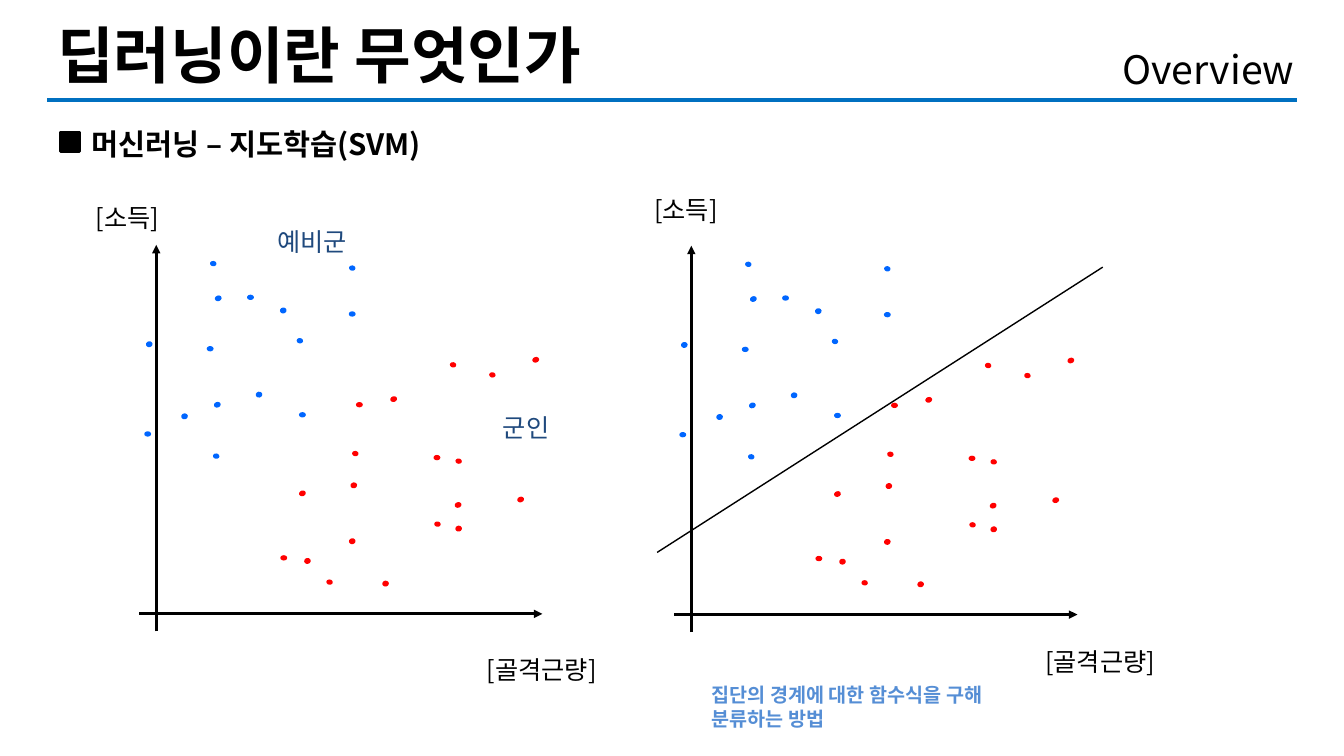
from lxml import etree
from pptx import Presentation
from pptx import util as u
from pptx.dml.color import RGBColor
from pptx.enum import shapes, text
from pptx.oxml.ns import qn

COLORS = {"black": "000000", "white": "FFFFFF", "rule": "0070C0", "navy": "1F497D",
          "note": "558ED5", "reserve": "0066FF", "soldier": "FF0000"}

DOTS_BY_SIZE_AND_TURN = {
    "reserve": {
        (4.9, 3.8, 0): [(105.5, 310), (251.6, 224.3), (178.9, 212.4), (216, 296.3),
                        (150.1, 249.1)],
        (4.9, 4, 341.4): [(155.9, 213.1), (155.2, 289.1)],
        (3.8, 4.6, 98.3): [(214.2, 243.4), (154.4, 325.8), (251.6, 191.5), (152.3, 188.3)],
        (4.2, 4.7, 79.6): [(185, 281.9), (131.8, 297.4), (202.3, 221.8), (106.6, 245.9)],
    },
    "soldier": {
        (4.9, 3.8, 0): [(202.7, 398.5), (256.7, 289.1), (312.1, 326.9)],
        (4.9, 4, 341.4): [(216, 352.4), (382.7, 257), (327.2, 360.7), (281.2, 285.1),
                          (371.9, 356.8)],
        (3.8, 4.6, 98.3): [(235.4, 415.8), (327.6, 329.4), (253.8, 324), (351.7, 267.8),
                           (323.6, 260.6), (312.5, 374.4)],
        (4.2, 4.7, 79.6): [(275.4, 416.9), (251.6, 386.6), (252.7, 346.7), (219.6, 400.7),
                           (327.6, 377.6)],
    },
}


class Deck:
    """Holds the font, the colours and the slide being drawn."""

    font = "Noto Sans CJK KR"

    def __init__(self, prs):
        self.s = prs.slides.add_slide(prs.slide_layouts[6])

    def rgb(self, name):
        return RGBColor.from_string(COLORS[name])

    def fill_text(self, tf, lines, size, color, bold=False, align=None):
        tf.word_wrap = True
        for i, line in enumerate(lines):
            p = tf.paragraphs[0] if i == 0 else tf.add_paragraph()
            r = p.add_run()
            r.text = line
            p.alignment = align
            p.font.size, p.font.bold, p.font.name = u.Pt(size), bold, self.font
            p.font.color.rgb = self.rgb(color)
            ea = etree.SubElement(r._r.get_or_add_rPr(), qn("a:ea"))
            ea.set("typeface", self.font)

    def text(self, x, y, w, h, lines, size, color="black", bold=False):
        tf = self.s.shapes.add_textbox(u.Pt(x), u.Pt(y), u.Pt(w), u.Pt(h)).text_frame
        self.fill_text(tf, lines, size, color, bold)
        tf.auto_size = text.MSO_AUTO_SIZE.SHAPE_TO_FIT_TEXT

    def shape(self, kind, x, y, w, h, fill, line=None, parent=None):
        sp = (parent or self.s).shapes.add_shape(kind, u.Pt(x), u.Pt(y), u.Pt(w), u.Pt(h))
        sp.shadow.inherit = False
        sp.fill.solid()
        sp.fill.fore_color.rgb = self.rgb(fill)
        if line:
            sp.line.color.rgb = self.rgb(fill)
            sp.line.width = u.Pt(line)
        else:
            sp.line.fill.background()
        return sp

    def label(self, x, y, w, caption):
        tf = self.shape(shapes.MSO_SHAPE.RECTANGLE, x, y, w, 46, "white", 2).text_frame
        tf.vertical_anchor = text.MSO_ANCHOR.MIDDLE
        self.fill_text(tf, [caption], 18, "black", align=text.PP_ALIGN.CENTER)

    def line(self, x1, y1, x2, y2, color, width, arrow=False, parent=None):
        c = (parent or self.s).shapes.add_connector(
            shapes.MSO_CONNECTOR.STRAIGHT, u.Pt(x1), u.Pt(y1), u.Pt(x2), u.Pt(y2))
        c.line.color.rgb = self.rgb(color)
        c.line.width = u.Pt(width)
        sp_pr = c._element.spPr
        if arrow:
            etree.SubElement(sp_pr.find(qn("a:ln")), qn("a:tailEnd")).set("type", "triangle")
        etree.SubElement(sp_pr, qn("a:effectLst"))

    def plot(self, dx, dy, boundary=None):
        g = self.s.shapes.add_group_shape()
        if boundary:
            self.line(*boundary, "black", 1, parent=g)
        self.line(111.6 + dx, 451 + dy, 111.6 + dx, 175 + dy, "black", 2, True, g)
        self.line(99.4 + dx, 438.5 + dy, 387.4 + dx, 438.5 + dy, "black", 2, True, g)
        for color, dots in DOTS_BY_SIZE_AND_TURN.items():
            for (w, h, turn), centres in dots.items():
                for x, y in centres:
                    sp = self.shape(shapes.MSO_SHAPE.OVAL, x + dx - w / 2, y + dy - h / 2,
                                    w, h, color, parent=g)
                    sp.rotation = turn


def main():
    prs = Presentation()
    prs.slide_width, prs.slide_height = u.Pt(960), u.Pt(540)
    d = Deck(prs)
    d.line(33.8, 71.3, 926.6, 71.3, "rule", 3)
    d.text(33.8, 8.6, 643.7, 60.5, ["딥러닝이란 무엇인가"], 44, bold=True)
    d.text(794.9, 28.8, 146.9, 41, ["Overview"], 28)
    d.text(58.3, 86.4, 818.6, 32.4, ["머신러닝 – 지도학습(SVM)"], 21, bold=True)
    d.shape(shapes.MSO_SHAPE.RECTANGLE, 43.2, 94.3, 13.7, 13.7, "black", 2)
    d.label(33.1, 132.5, 116, "[소득]")
    d.plot(0, 0)
    d.plot(382.2, 0.5, (469.4, 394.6, 787.7, 190.8))
    d.label(241.9, 455, 290, "[골격근량]")
    d.text(352.1, 290.9, 71.3, 28.8, ["군인"], 18, "navy")
    d.text(190.8, 158.4, 71.3, 28.8, ["예비군"], 18, "navy")
    d.label(432, 126.7, 116, "[소득]")
    d.label(640.8, 449.3, 290, "[골격근량]")
    d.text(501.1, 484.6, 293.8, 41, ["집단의 경계에 대한 함수식을 구해", "분류하는 방법"],
           14, "note", True)
    prs.save("out.pptx")


if __name__ == "__main__":
    main()
